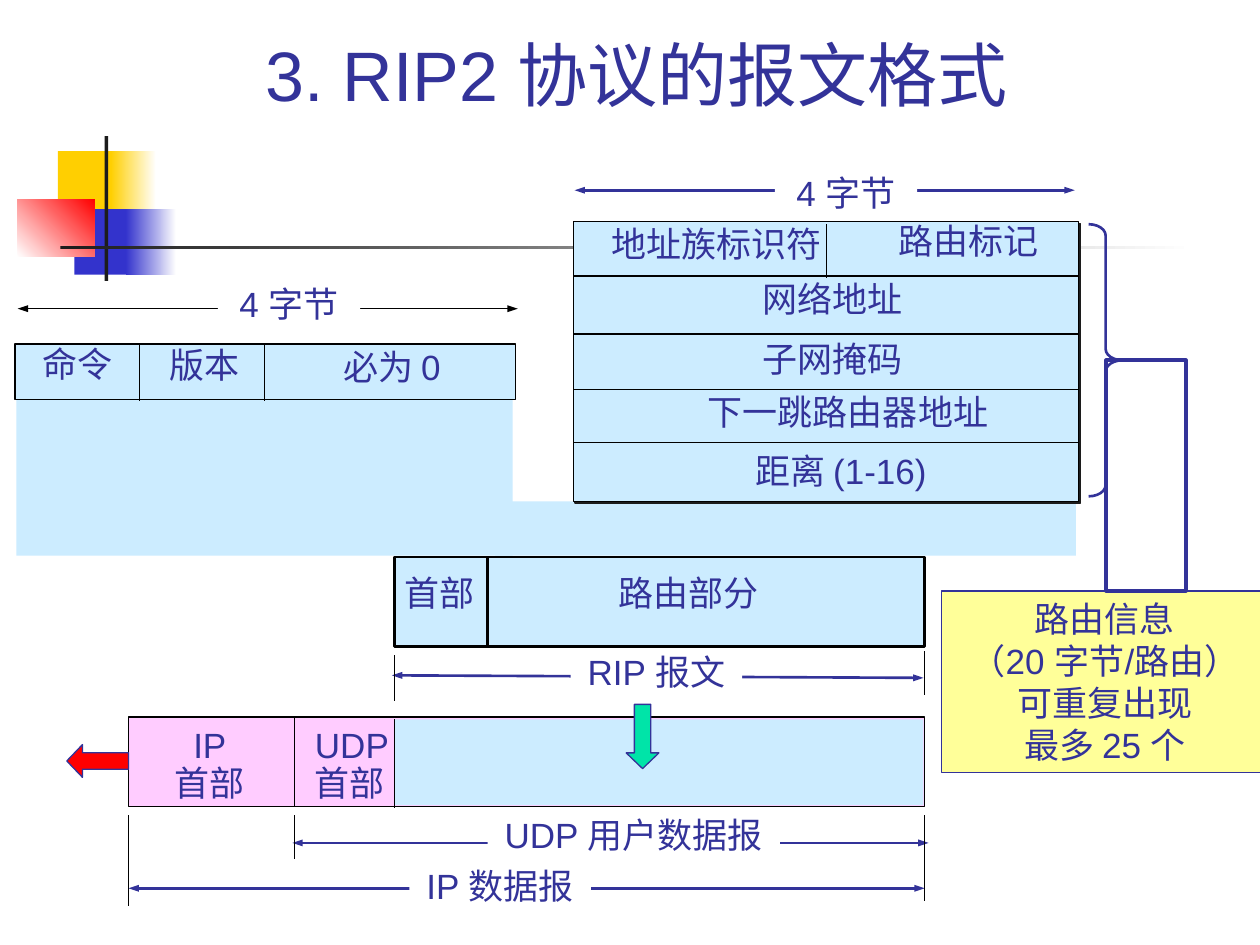
from lxml.etree import SubElement
from pptx import Presentation
from pptx.dml.color import RGBColor
from pptx.enum.shapes import MSO_CONNECTOR, MSO_SHAPE
from pptx.enum.text import MSO_ANCHOR, PP_ALIGN
from pptx.oxml.ns import qn
from pptx.util import Inches, Pt

INK = RGBColor(0x33, 0x33, 0x99)
BLACK = RGBColor(0, 0, 0)
WHITE = RGBColor(0xFF, 0xFF, 0xFF)
DARK = RGBColor(0x1C, 0x1C, 0x1C)
GOLD = RGBColor(0xFF, 0xCF, 0x01)
BLUE = RGBColor(0x33, 0x33, 0xCC)
RED = RGBColor(0xFF, 0, 0)
SKY = RGBColor(0xCC, 0xEC, 0xFF)
PINK = RGBColor(0xFF, 0xCC, 0xFF)
YELLOW = RGBColor(0xFF, 0xFF, 0x99)
GREEN = RGBColor(0, 0xE4, 0xA8)

TITLE = "3. RIP2 协议的报文格式"
LABEL_HEIGHT = 0.44

MOTIF = [
    ((0.46, 1.2, 0.48, 0.52), (GOLD,), 0),
    ((0.88, 1.2, 0.36, 0.52), (GOLD, WHITE), 0),
    ((0.59, 1.66, 0.46, 0.52), (BLUE,), 0),
    ((1, 1.66, 0.4, 0.52), (BLUE, WHITE), 0),
    ((0.14, 1.58, 0.61, 0.46), (WHITE, RED), 45),
    ((0.83, 1.08, 0.03, 1.15), (DARK,), 0),
    ((0.48, 1.95, 9, 0.03), (DARK, WHITE), 0),
]

SPANS = [
    ("4 字节", 6.15, 1.31, 1.13, (4.56, 1.51, 8.53, 1.51), INK, 1.5),
    ("RIP 报文", 4.53, 5.11, 1.36, (3.11, 5.36, 7.33, 5.38), INK, 1.5),
    ("UDP 用户数据报", 3.87, 6.41, 2.32, (2.32, 6.69, 7.37, 6.69), INK, 1.5),
    ("IP 数据报", 3.25, 6.81, 1.44, (1.02, 7.05, 7.34, 7.05), INK, 1.5),
    ("4 字节", 1.73, 2.19, 1.13, (0.14, 2.45, 4.11, 2.45), BLACK, 0.75),
]

ENTRY = (4.55, 1.76, 4.01, 2.22)
PANELS = [
    ((1.02, 5.69, 6.32, 0.71), PINK, 0.75),
    ((3.93, 3.98, 4.61, 0.43), SKY, 0),
    (ENTRY, SKY, 0.75),
    ((0.13, 3.17, 3.94, 1.24), SKY, 0),
    ((3.13, 4.42, 4.21, 0.71), SKY, 1.5),
    ((3.13, 5.71, 4.2, 0.68), SKY, 0),
    ((0.12, 2.73, 3.97, 0.44), SKY, 0.75),
]

ENTRY_RULES = [2.19, 2.65, 3.09, 3.51]
UPRIGHTS = [
    (6.56, 1.78, 2.21, 0.75),
    (1.11, 2.73, 3.18, 0.75),
    (2.1, 2.73, 3.18, 0.75),
    (3.87, 4.42, 5.12, 1.5),
    (3.13, 5.2, 5.56, 0.75),
    (7.34, 5.17, 5.52, 0.75),
    (2.34, 5.69, 6.4, 0.75),
    (3.13, 5.71, 6.41, 0.75),
    (1.02, 6.47, 7.19, 0.75),
    (2.34, 6.47, 6.82, 0.75),
    (7.34, 6.47, 7.15, 0.75),
]

LABELS = [
    ("地址族标识符", 4.75, 1.72, 1.87),
    ("路由标记", 7.03, 1.69, 1.31),
    ("网络地址", 5.95, 2.15, 1.31),
    ("子网掩码", 5.95, 2.63, 1.31),
    ("下一跳路由器地址", 5.52, 3.05, 2.42),
    ("距离 (1-16)", 5.86, 3.52, 1.63),
    ("命令", 0.24, 2.67, 0.75),
    ("版本", 1.25, 2.68, 0.75),
    ("必为 0", 2.59, 2.69, 1.04),
    ("首部", 3.11, 4.49, 0.75),
    ("路由部分", 4.81, 4.49, 1.31),
]
STACKED = [
    ("IP\n首部", (1.29, 5.73, 0.75, 0.7), PP_ALIGN.CENTER),
    ("UDP\n首部", (2.5, 5.73, 0.76, 0.7), PP_ALIGN.LEFT),
]
ROUTE_NOTE = "路由信息\n（20 字节/路由）\n可重复出现\n最多 25 个"

ARROWS = [
    (MSO_SHAPE.LEFT_ARROW, (0.53, 5.91, 0.49, 0.26), RED),
    (MSO_SHAPE.DOWN_ARROW, (4.97, 5.59, 0.26, 0.51), GREEN),
]


def inches(box):
    return [Inches(length) for length in box]


def add_figure(slide, kind, box, fill=None, line=None, width=0.75):
    figure = slide.shapes.add_shape(kind, *inches(box))
    figure.shadow.inherit = False
    if fill is None:
        figure.fill.background()
    else:
        figure.fill.solid()
        figure.fill.fore_color.rgb = fill
    if line is None:
        figure.line.fill.background()
    else:
        figure.line.color.rgb = line
        figure.line.width = Pt(width)
    return figure


def add_rule(slide, ends, color, width, arrows=False):
    rule = slide.shapes.add_connector(MSO_CONNECTOR.STRAIGHT, *inches(ends))
    rule.line.color.rgb = color
    rule.line.width = Pt(width)
    if arrows:
        for end in ("a:headEnd", "a:tailEnd"):
            SubElement(rule.line._get_or_add_ln(), qn(end), type="triangle", w="sm")
    SubElement(rule._element.spPr, qn("a:effectLst"))


def style(paragraph, size, align):
    paragraph.alignment = align
    for run in paragraph.runs:
        run.font.size = Pt(size)
        run.font.name = "Arial"
        run.font.color.rgb = INK


def add_label(slide, text, box, fill=None, align=PP_ALIGN.CENTER, spacing=None):
    label = slide.shapes.add_textbox(*inches(box))
    if fill is not None:
        label.fill.solid()
        label.fill.fore_color.rgb = fill
    frame = label.text_frame
    frame.word_wrap = False
    frame.margin_left = frame.margin_right = 0
    frame.text = text
    for paragraph in frame.paragraphs:
        paragraph.line_spacing = spacing
        style(paragraph, 20, align)
    return label


def add_drop_shadow(figure):
    effects = figure._element.spPr.find(qn("a:effectLst"))
    shadow = SubElement(effects, qn("a:outerShdw"), dist=str(Pt(1.4)), dir="2700000")
    SubElement(shadow, qn("a:srgbClr"), val=str(DARK))


def main():
    """Build the RIP2 message format slide."""
    prs = Presentation()
    prs.slide_width, prs.slide_height = Inches(10), Inches(7.5)
    slide = prs.slides.add_slide(prs.slide_layouts[5])

    title = slide.shapes.title
    title.left, title.top, title.width, title.height = inches((0.61, 0.21, 8.88, 0.76))
    title.text_frame.text = TITLE
    title.text_frame.vertical_anchor = MSO_ANCHOR.BOTTOM
    style(title.text_frame.paragraphs[0], 40, PP_ALIGN.CENTER)

    for box, colors, angle in MOTIF:
        block = add_figure(slide, MSO_SHAPE.RECTANGLE, box, colors[0])
        if len(colors) > 1:
            block.fill.gradient()
            block.fill.gradient_angle = angle
            for stop, color, position in zip(block.fill.gradient_stops, colors, (0, 1)):
                stop.color.rgb = color
                stop.position = position

    for text, left, top, width, ends, color, weight in SPANS:
        add_rule(slide, ends, color, weight, arrows=True)
        add_label(slide, text, (left, top, width, LABEL_HEIGHT), WHITE)

    for box, fill, weight in PANELS:
        panel = add_figure(slide, MSO_SHAPE.RECTANGLE, box, fill, BLACK if weight else None, weight)
        if box == ENTRY:
            add_drop_shadow(panel)

    for y in ENTRY_RULES:
        add_rule(slide, (ENTRY[0], y, ENTRY[0] + ENTRY[2], y), BLACK, 0.75)
    for x, top, bottom, weight in UPRIGHTS:
        add_rule(slide, (x, top, x, bottom), BLACK, weight)

    for text, left, top, width in LABELS:
        add_label(slide, text, (left, top, width, LABEL_HEIGHT))
    for text, box, align in STACKED:
        add_label(slide, text, box, align=align, spacing=0.9)

    for kind, box, fill in ARROWS:
        add_figure(slide, kind, box, fill, INK).adjustments[1] = 0.48

    note = add_label(slide, ROUTE_NOTE, (7.47, 4.69, 2.6, 1.44), YELLOW)
    note.line.color.rgb = INK
    note.line.width = Pt(0.75)
    brace = add_figure(slide, MSO_SHAPE.RIGHT_BRACE, (8.64, 1.78, 0.27, 2.16), None, INK, 1.5)
    brace.adjustments[0] = 0.33
    add_figure(slide, MSO_SHAPE.RECTANGLE, (8.78, 2.86, 0.63, 1.83), None, INK, 2.25)

    prs.save("out.pptx")


if __name__ == "__main__":
    main()
